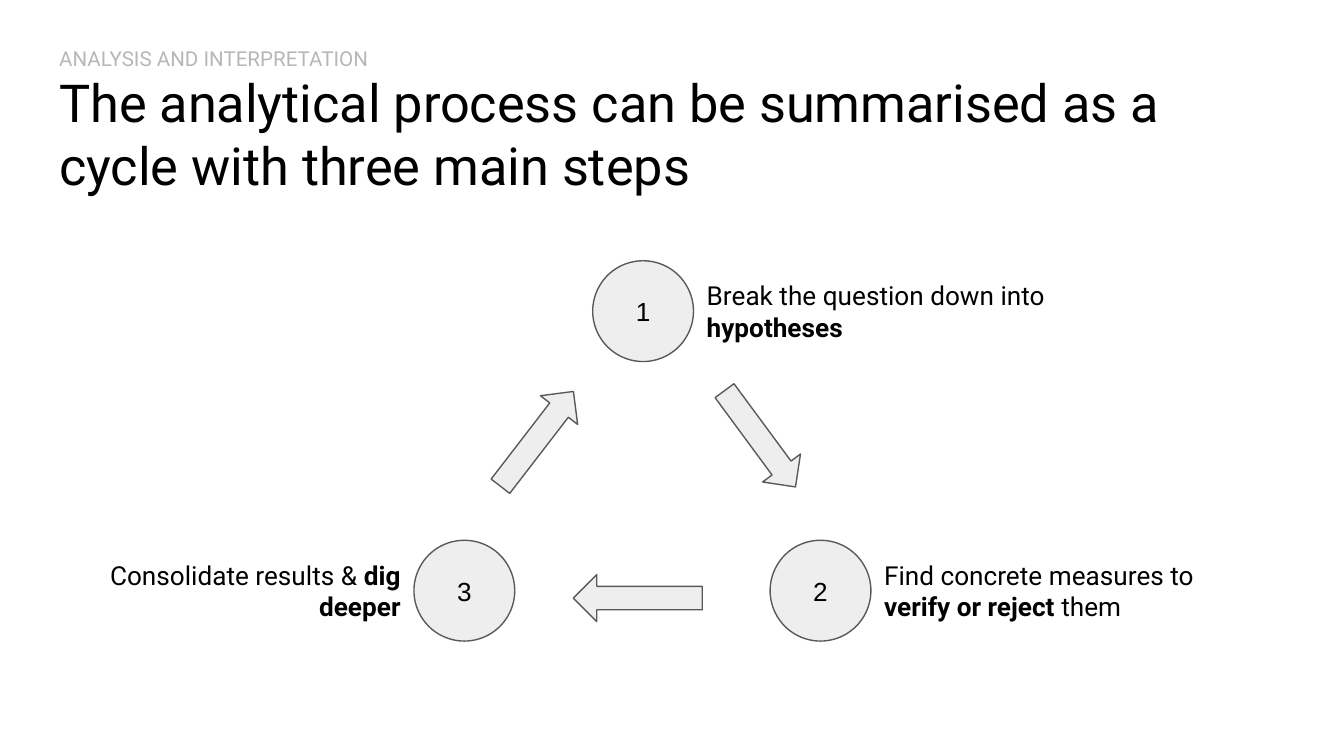
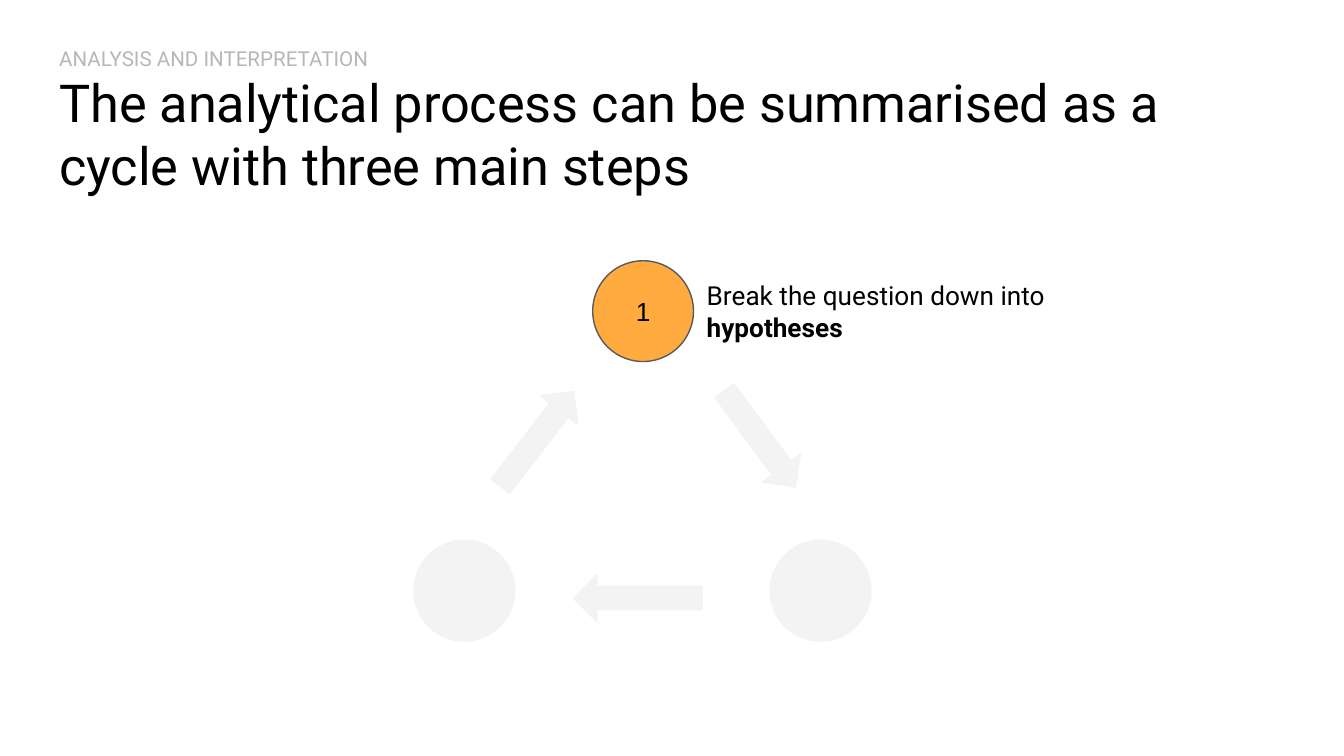
from pptx import Presentation
from pptx.dml.color import RGBColor
from pptx.enum.shapes import MSO_SHAPE as Preset
from pptx.enum.text import MSO_ANCHOR as Anchor, MSO_AUTO_SIZE as AutoSize, PP_ALIGN as Align
from pptx.util import Inches, Pt

BLACK, GREY, OUTLINE = "000000", "B7B7B7", "595959"
PALE, FAINT, ORANGE = "EEEEEE", "F3F3F3", "FFAB40"

SECTION = "ANALYSIS AND INTERPRETATION"
TITLE = "The analytical process can be summarised as a cycle with three main steps"

CIRCLE = 0.75
LABEL_HEIGHT = 0.69
STEPS = [
    {"number": "1", "left": 4.41, "top": 1.94, "side": "right", "width": 3.72,
     "label": [("Break the question down into ", False), ("hypotheses", True)]},
    {"number": "2", "left": 5.73, "top": 4.02, "side": "right", "width": 2.53,
     "label": [("Find concrete measures to ", False), ("verify or reject", True),
               (" them", False)]},
    {"number": "3", "left": 3.08, "top": 4.02, "side": "left", "width": 2.53,
     "label": [("Consolidate results & ", False), ("dig deeper", True)]},
]
ARROWS = [
    (5.48, 2.82, 0.35, 0.89, 323.6),
    (3.82, 2.82, 0.35, 0.89, 217.6),
    (4.57, 3.97, 0.35, 0.96, 90),
]

NORMAL = {"fill": PALE, "line": OUTLINE, "labelled": True}
ACTIVE = {"fill": ORANGE, "line": OUTLINE, "labelled": True}
MUTED = {"fill": FAINT, "line": FAINT, "labelled": False}
PAGES = [
    {"steps": [NORMAL, NORMAL, NORMAL], "arrows": NORMAL},
    {"steps": [ACTIVE, MUTED, MUTED], "arrows": MUTED},
]


def color(value):
    """Turn a hex string into a colour."""
    return RGBColor.from_string(value)


def set_frame(shape, anchor):
    """Give a text frame its margins, wrapping and anchor."""
    frame = shape.text_frame
    settings = {"word_wrap": True, "auto_size": AutoSize.NONE, "vertical_anchor": anchor}
    for side in ("left", "right", "top", "bottom"):
        settings[f"margin_{side}"] = Inches(0.1)
    for name, value in settings.items():
        setattr(frame, name, value)
    return frame.paragraphs[0]


def add_span(para, text, shade=BLACK, size=14, font="Roboto", bold=False):
    """Append one formatted run to a paragraph."""
    span = para.add_run()
    span.text = text
    for name, value in {"name": font, "size": Pt(size), "bold": bold}.items():
        setattr(span.font, name, value)
    span.font.color.rgb = color(shade)


def add_title(page):
    """Place the section name and headline in the title placeholder."""
    title = page.shapes.title
    place = {"left": 0.34, "top": 0.24, "width": 9.32, "height": 0.63}
    for name, value in place.items():
        setattr(title, name, Inches(value))
    para = set_frame(title, Anchor.TOP)
    para.alignment = Align.LEFT
    add_span(para, SECTION, GREY, 11)
    para.add_line_break()
    add_span(para, TITLE, size=28)


def add_preset(page, preset, box, style):
    """Draw a filled and outlined preset shape."""
    shape = page.shapes.add_shape(preset, *map(Inches, box))
    shape.shadow.inherit = False
    shape.fill.solid()
    shape.fill.fore_color.rgb = color(style["fill"])
    shape.line.color.rgb = color(style["line"])
    shape.line.width = Pt(0.75)
    return shape


def add_label(page, step):
    """Write the description beside a step's circle."""
    left, top, width = step["left"], step["top"], step["width"]
    on_right = step["side"] == "right"
    label_left = left + CIRCLE if on_right else left - width
    label_top = top + (CIRCLE - LABEL_HEIGHT) / 2
    label = page.shapes.add_textbox(*map(Inches, (label_left, label_top, width, LABEL_HEIGHT)))
    para = set_frame(label, Anchor.MIDDLE)
    para.alignment = Align.LEFT if on_right else Align.RIGHT
    for text, bold in step["label"]:
        add_span(para, text, bold=bold)


def add_step(page, step, style):
    """Draw a step's circle, with number and label when the step is shown."""
    circle = add_preset(page, Preset.OVAL, (step["left"], step["top"], CIRCLE, CIRCLE), style)
    if style["labelled"]:
        para = set_frame(circle, Anchor.MIDDLE)
        para.alignment = Align.CENTER
        add_span(para, step["number"], font="Arial")
        add_label(page, step)


def main():
    """Build the deck and save it."""
    deck = Presentation()
    deck.slide_width = Inches(10)
    deck.slide_height = deck.slide_width * 9 // 16
    for content in PAGES:
        page = deck.slides.add_slide(deck.slide_layouts[5])
        add_title(page)
        for step, style in zip(STEPS, content["steps"]):
            add_step(page, step, style)
        for *box, angle in ARROWS:
            arrow = add_preset(page, Preset.DOWN_ARROW, box, content["arrows"])
            arrow.rotation = angle
    deck.save("out.pptx")


if __name__ == "__main__":
    main()
